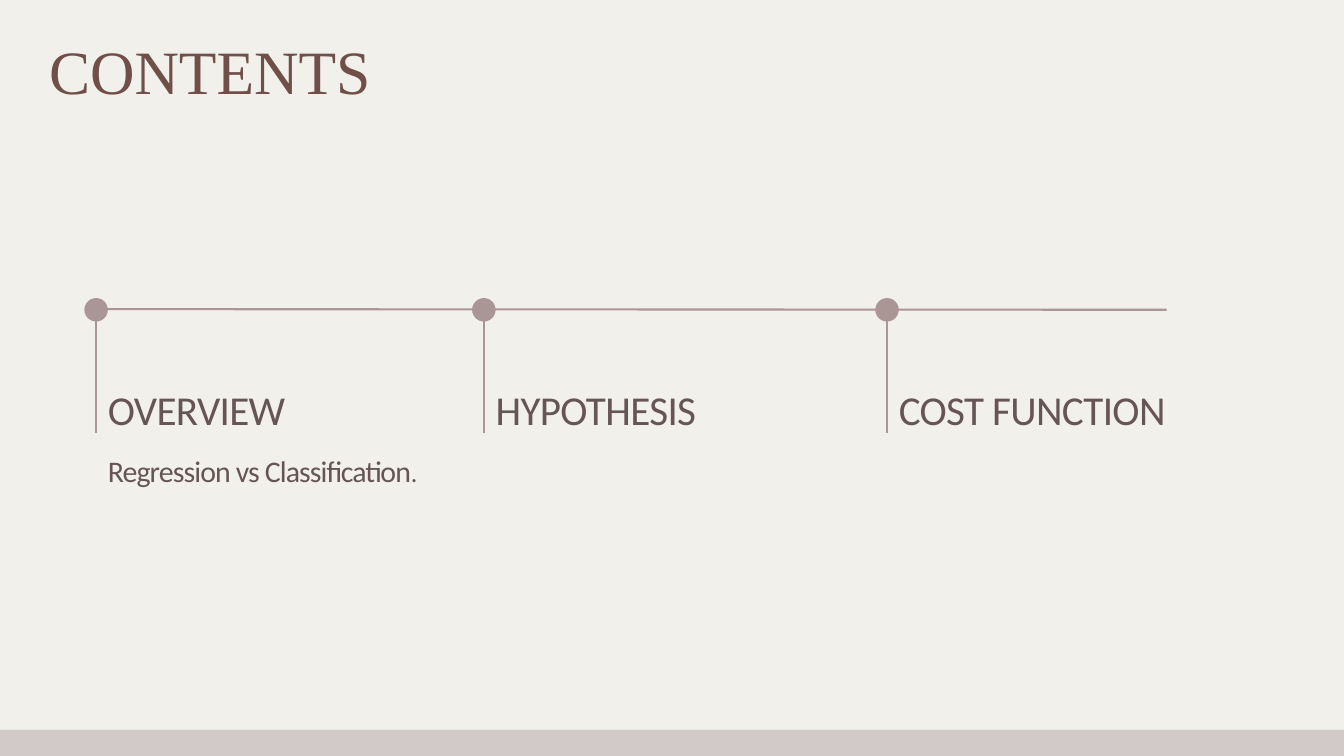
from pptx import Presentation
from pptx.dml.color import RGBColor
from pptx.enum.shapes import MSO_CONNECTOR, MSO_SHAPE
from pptx.oxml.ns import qn
from pptx.util import Inches, Pt
from lxml.etree import SubElement

# Content: timeline stops as (centre x, heading)
TITLE = "CONTENTS"
STOPS = [(1.43, "OVERVIEW"), (7.2, "HYPOTHESIS"), (13.2, "COST FUNCTION")]
DETAIL = [("Regression vs Classification", 32, -1), (".", 28, -0.9)]

# Layout in inches
WIDTH, HEIGHT = 20, 11.25
AXIS_Y, AXIS_END, STEM_END = 4.61, 17.36, 6.44
DOT = 0.35
FOOTER_TOP = 10.86
ROSE, TEXT, BROWN = "AB9696", "665653", "704F48"


def color(value):
    return RGBColor.from_string(value)


def add_shape(kind, left, top, width, height, fill):
    shape = page.shapes.add_shape(
        kind, Inches(left), Inches(top), Inches(width), Inches(height))
    shape.shadow.inherit = False
    shape.fill.solid()
    shape.fill.fore_color.rgb = color(fill)
    shape.line.fill.background()


def add_line(x1, y1, x2, y2):
    line = page.shapes.add_connector(
        MSO_CONNECTOR.STRAIGHT, Inches(x1), Inches(y1), Inches(x2), Inches(y2))
    line.line.color.rgb = color(ROSE)
    line.line.width = Pt(2.25)
    SubElement(line._element.spPr, qn("a:effectLst"))


def add_text(left, top, width, height, spans, leading, font="Calibri", ink=TEXT):
    box = page.shapes.add_textbox(
        Inches(left), Inches(top), Inches(width), Inches(height))
    frame = box.text_frame
    frame.word_wrap = True
    frame.margin_left = frame.margin_right = 0
    frame.margin_top = frame.margin_bottom = 0
    para = frame.paragraphs[0]
    para.line_spacing = Pt(leading)
    for text, size, spacing in spans:
        span = para.add_run()
        span.text = text
        span.font.name = font
        span.font.size = Pt(size)
        span.font.color.rgb = color(ink)
        if spacing:
            span._r.get_or_add_rPr().set("spc", str(round(spacing * 100)))


deck = Presentation()
deck.slide_width, deck.slide_height = Inches(WIDTH), Inches(HEIGHT)
page = deck.slides.add_slide(deck.slide_layouts[6])
page.background.fill.solid()
page.background.fill.fore_color.rgb = color("F1F0EB")

# Timeline axis, then each stop's stem, dot and heading
add_line(STOPS[0][0], AXIS_Y - 0.01, AXIS_END, AXIS_Y)
for x, heading in STOPS:
    add_line(x, AXIS_Y, x, STEM_END)
    add_shape(MSO_SHAPE.OVAL, x - DOT / 2, AXIS_Y - DOT / 2, DOT, DOT, ROSE)
    add_text(x + DOT / 2, 5.85, 3.98, 0.62, [(heading, 44, -0.7)], 43.2)

# Detail under the first stop
add_text(STOPS[0][0] + DOT / 2, 6.8, 5.42, 0.49, DETAIL, 33.6)

# Footer band and title
add_shape(MSO_SHAPE.RECTANGLE, 0, FOOTER_TOP, WIDTH, HEIGHT - FOOTER_TOP, "D1CAC9")
add_text(0.73, 0.58, 8.66, 1.01, [(TITLE, 66, 0)], 72.2, "Times New Roman", BROWN)

deck.save("out.pptx")
